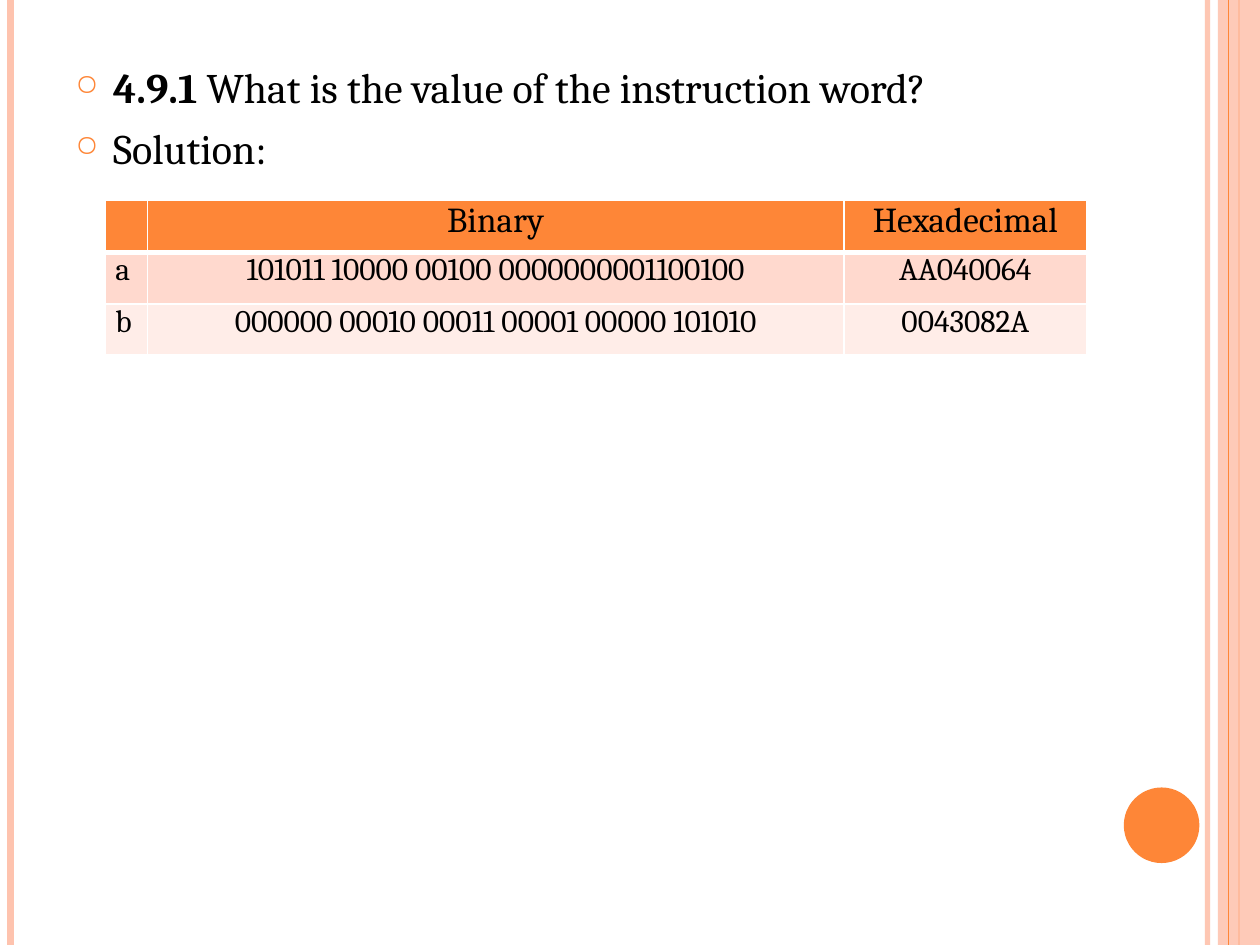
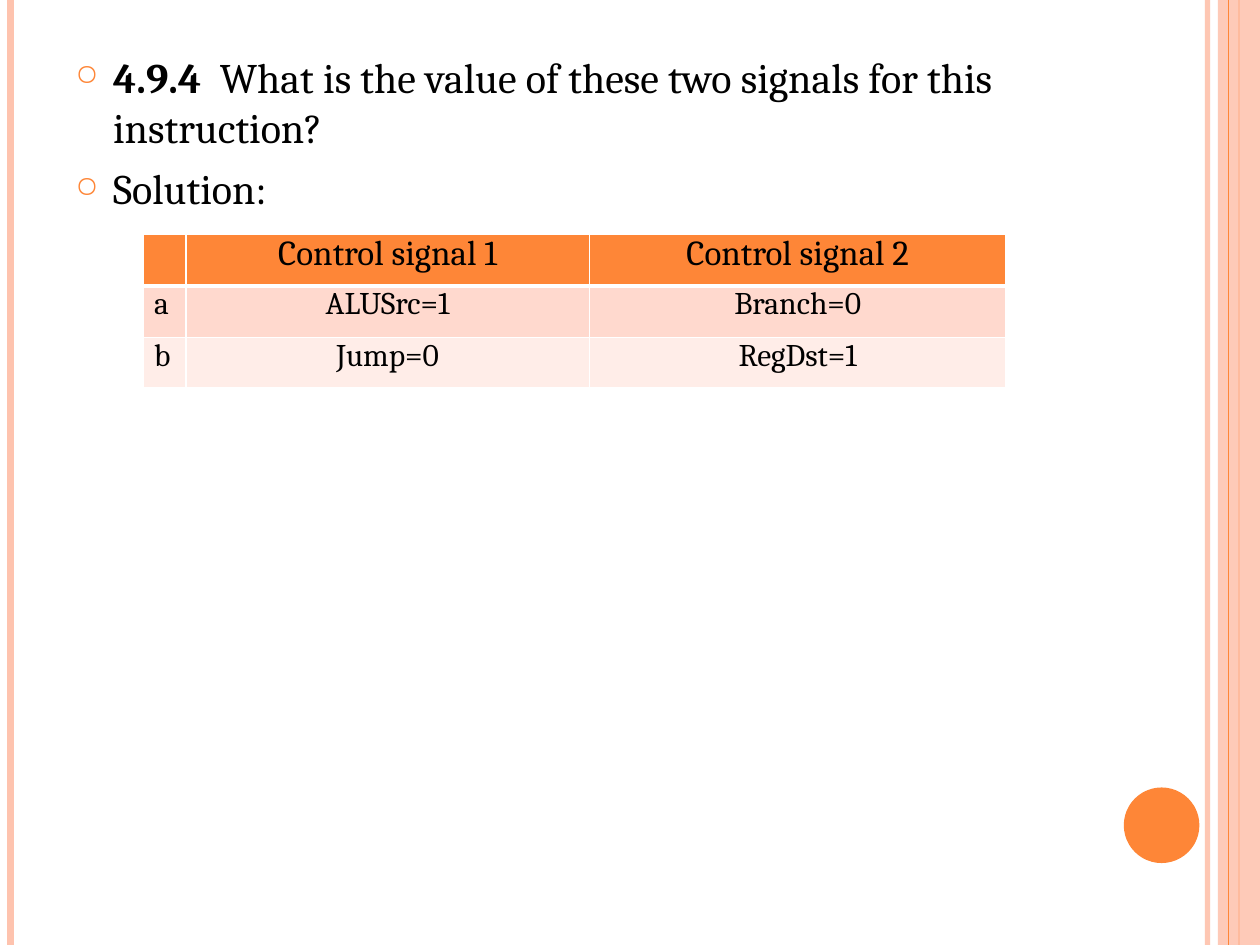
"""Builds two exercise slides, each with a question and a solution table."""

from dataclasses import dataclass
from typing import Any

from lxml import etree
from pptx import Presentation
from pptx.dml.color import RGBColor
from pptx.enum.shapes import MSO_CONNECTOR, MSO_SHAPE
from pptx.enum.text import MSO_ANCHOR, PP_ALIGN
from pptx.oxml.ns import qn
from pptx.util import Pt

STRAIGHT = MSO_CONNECTOR.STRAIGHT
RECTANGLE = MSO_SHAPE.RECTANGLE
OVAL = MSO_SHAPE.OVAL
TOP = MSO_ANCHOR.TOP
LEFT = PP_ALIGN.LEFT
CENTER = PP_ALIGN.CENTER

ORANGE = RGBColor(0xFE, 0x86, 0x37)
PEACH = RGBColor(0xFE, 0xC3, 0xAE)
PINK = RGBColor(0xFF, 0xD9, 0xCE)
PALE_PINK = RGBColor(0xFF, 0xED, 0xE8)
WHITE = RGBColor(0xFF, 0xFF, 0xFF)
BLACK = RGBColor(0, 0, 0)

SLIDE_WIDTH, SLIDE_HEIGHT = 720, 540
INDENT = 21.6
SPACE_BEFORE = Pt(6)
ROW_HEIGHTS = (29.5, 29.5, 28.8)
LABEL_WIDTH = 24.2
BODY_FONT = {"name": "Cambria", "size": Pt(24), "bold": False}
HEADER_FONT = BODY_FONT | {"size": Pt(20)}
CELL_FONT = BODY_FONT | {"size": Pt(18)}
CELL_FORMAT = {
    "margin_left": Pt(6),
    "margin_right": Pt(6),
    "margin_top": Pt(0),
    "margin_bottom": Pt(0),
    "vertical_anchor": TOP,
}


@dataclass(frozen=True)
class Stripe:
    """A vertical line over the full slide height."""

    x: float
    width: float
    color: RGBColor
    opacity: int = 100


@dataclass(frozen=True)
class RowStyle:
    """The look of one table row."""

    fill: RGBColor
    font: dict[str, Any]
    top_border: float
    bottom_border: float


@dataclass(frozen=True)
class Exercise:
    """One question with its table of answers."""

    number: str
    question: str
    body_top: float
    body_height: float
    table_left: float
    table_top: float
    answer_widths: tuple[float, ...]
    rows: tuple[tuple[str, ...], ...]


STRIPES_BEHIND = (
    Stripe(690, 3, PEACH, 93),
    Stripe(6, 4.5, PEACH),
    Stripe(708, 1.5, ORANGE),
)
STRIPE_IN_FRONT = Stripe(702, 0.75, ORANGE)

ROW_STYLES = (
    RowStyle(ORANGE, HEADER_FONT, 1, 3),
    RowStyle(PINK, CELL_FONT, 3, 1),
    RowStyle(PALE_PINK, CELL_FONT, 1, 1),
)

EXERCISES = (
    Exercise(
        "4.9.1", " What is the value of the instruction word?",
        31.7, 478, 60, 114.7, (398, 139),
        (
            ("", "Binary", "Hexadecimal"),
            ("a", "101011 10000 00100 0000000001100100", "AA040064"),
            ("b", "000000 00010 00011 00001 00000 101010", "0043082A"),
        ),
    ),
    Exercise(
        "4.9.4", "  What is the value of these two signals for this instruction?",
        25.9, 102.2, 82.1, 134, (230.5, 238.2),
        (
            ("", "Control signal 1", "Control signal 2"),
            ("a", "ALUSrc=1", "Branch=0"),
            ("b", "Jump=0", "RegDst=1"),
        ),
    ),
)


def apply_format(target: Any, values: dict[str, Any]) -> None:
    """Set every named attribute on the target."""
    for name, value in values.items():
        setattr(target, name, value)


def add_child(parent: Any, tag: str, **attributes: Any) -> Any:
    """Append an XML element with the given attributes."""
    texts = {name: str(value) for name, value in attributes.items()}
    return etree.SubElement(parent, qn(tag), texts)


def set_opacity(properties: Any, percent: int) -> None:
    """Make the first solid colour in the properties see-through."""
    color = next(properties.iter(qn("a:srgbClr")))
    add_child(color, "a:alpha", val=percent * 1000)


def add_stripe(slide: Any, stripe: Stripe) -> None:
    """Draw one vertical stripe."""
    x = Pt(stripe.x)
    connector = slide.shapes.add_connector(STRAIGHT, x, Pt(0), x, Pt(SLIDE_HEIGHT))
    connector.line.color.rgb = stripe.color
    connector.line.width = Pt(stripe.width)
    properties = connector._element.spPr
    if stripe.opacity < 100:
        set_opacity(properties, stripe.opacity)
    add_child(properties, "a:effectLst")


def add_plain_shape(slide: Any, kind: Any, box: tuple[float, ...], color: RGBColor) -> Any:
    """Draw a filled shape without outline or shadow."""
    shape = slide.shapes.add_shape(kind, *map(Pt, box))
    shape.shadow.inherit = False
    shape.fill.solid()
    shape.fill.fore_color.rgb = color
    shape.line.fill.background()
    return shape


def add_frame(slide: Any) -> None:
    """Draw the side stripes, band and disc that all slides share."""
    for stripe in STRIPES_BEHIND:
        add_stripe(slide, stripe)
    band = add_plain_shape(slide, RECTANGLE, (696, 0, SLIDE_WIDTH - 696, SLIDE_HEIGHT), PEACH)
    set_opacity(band._element.spPr, 87)
    add_stripe(slide, STRIPE_IN_FRONT)
    add_plain_shape(slide, OVAL, (642.2, 450, 43.2, 43.2), ORANGE)


def add_run(paragraph: Any, text: str, font: dict[str, Any]) -> None:
    """Add black text in the given font."""
    run = paragraph.add_run()
    run.text = text
    apply_format(run.font, font)
    run.font.color.rgb = BLACK


def add_bullet(paragraph: Any) -> None:
    """Give a paragraph the hanging ring bullet."""
    paragraph.space_before = SPACE_BEFORE
    properties = paragraph._p.get_or_add_pPr()
    properties.set("marL", str(Pt(INDENT)))
    properties.set("indent", str(-Pt(INDENT)))
    add_child(add_child(properties, "a:buClr"), "a:srgbClr", val=ORANGE)
    add_child(properties, "a:buSzPct", val=70000)
    add_child(properties, "a:buChar", char="○")


def add_body(slide: Any, exercise: Exercise) -> None:
    """Write the question and the solution line."""
    box = (36, exercise.body_top, 588.2, exercise.body_height)
    frame = slide.shapes.add_textbox(*map(Pt, box)).text_frame
    frame.word_wrap = True
    question = frame.paragraphs[0]
    solution = frame.add_paragraph()
    for paragraph in (question, solution):
        add_bullet(paragraph)
    add_run(question, exercise.number, BODY_FONT | {"bold": True})
    add_run(question, exercise.question, BODY_FONT)
    add_run(solution, "Solution:", BODY_FONT)


def style_cell(cell: Any, style: RowStyle) -> None:
    """Set margins, white borders and fill of a cell."""
    apply_format(cell, CELL_FORMAT)
    properties = cell._tc.get_or_add_tcPr()
    borders = {"L": 1, "R": 1, "T": style.top_border, "B": style.bottom_border}
    for side, width in borders.items():
        border = add_child(properties, f"a:ln{side}", w=Pt(width))
        add_child(add_child(border, "a:solidFill"), "a:srgbClr", val=WHITE)
    cell.fill.solid()
    cell.fill.fore_color.rgb = style.fill


def add_answers(slide: Any, exercise: Exercise) -> None:
    """Draw the table of answers."""
    widths = (LABEL_WIDTH, *exercise.answer_widths)
    box = (exercise.table_left, exercise.table_top, sum(widths), sum(ROW_HEIGHTS))
    table = slide.shapes.add_table(len(ROW_HEIGHTS), len(widths), *map(Pt, box)).table
    for column, width in zip(table.columns, widths):
        column.width = Pt(width)
    for row, height, texts, style in zip(table.rows, ROW_HEIGHTS, exercise.rows, ROW_STYLES):
        row.height = Pt(height)
        for index, (cell, text) in enumerate(zip(row.cells, texts)):
            style_cell(cell, style)
            if text:
                paragraph = cell.text_frame.paragraphs[0]
                paragraph.alignment = CENTER if index else LEFT
                if index:
                    paragraph.space_before = SPACE_BEFORE
                add_run(paragraph, text, style.font)


def main() -> None:
    """Build and save the presentation."""
    presentation = Presentation()
    apply_format(presentation, {"slide_width": Pt(SLIDE_WIDTH), "slide_height": Pt(SLIDE_HEIGHT)})
    blank = presentation.slide_layouts[6]
    for exercise in EXERCISES:
        slide = presentation.slides.add_slide(blank)
        add_frame(slide)
        add_body(slide, exercise)
        add_answers(slide, exercise)
    presentation.save("out.pptx")


main()
